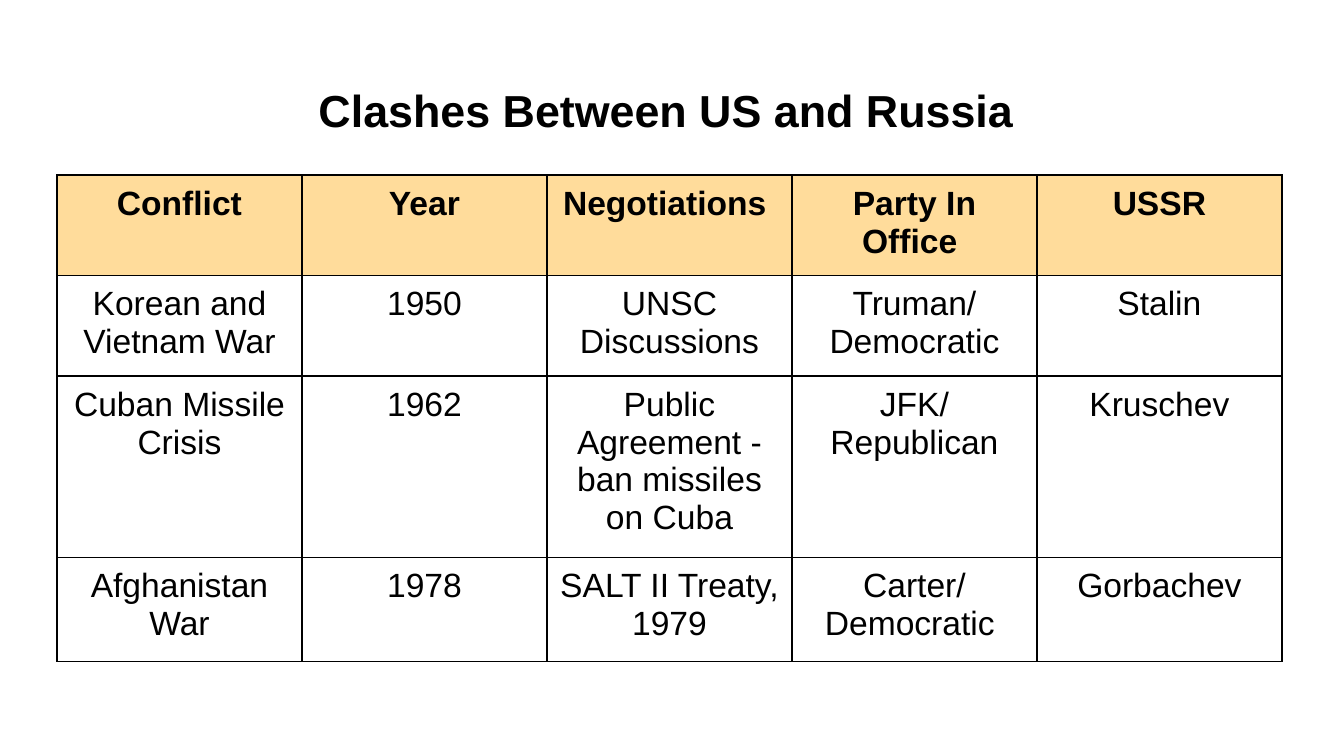
import lxml.etree
import pptx
import pptx.dml.color
import pptx.enum.text
import pptx.oxml.ns
import pptx.util

COLORS = {"text": "000000", "border": "000000", "header": "FFDC9B"}
PX = 914400 / 134.4
COLUMN_WIDTH = 245
ROW_HEIGHTS = [94, 94, 169, 104]
ROWS = [
    ["Conflict", "Year", "Negotiations ", "Party In Office ", "USSR"],
    ["Korean and Vietnam War", "1950", "UNSC Discussions", "Truman/ Democratic", "Stalin"],
    ["Cuban Missile Crisis", "1962", "Public Agreement - ban missiles on Cuba",
     "JFK/Republican", "Kruschev"],
    ["Afghanistan War", "1978", "SALT II Treaty, 1979", "Carter/ Democratic ", "Gorbachev"],
]


def px(n):
    return pptx.util.Emu(round(n * PX))


class SlideBuilder:
    """Holds the text style and the slide being built."""

    def __init__(self, prs, font="Arial"):
        self.slide = prs.slides.add_slide(prs.slide_layouts[6])
        self.font = font

    def set_text(self, tf, text, size, bold):
        tf.text = text
        p = tf.paragraphs[0]
        p.alignment = pptx.enum.text.PP_ALIGN.CENTER
        for r in p.runs:
            r.font.name = self.font
            r.font.size = pptx.util.Pt(size)
            r.font.bold = bold
            r.font.color.rgb = pptx.dml.color.RGBColor.from_string(COLORS["text"])
        return p

    def title(self, text, left, top, width, height):
        sp = self.slide.shapes.add_textbox(px(left), px(top), px(width), px(height))
        tf = sp.text_frame
        tf.word_wrap = True
        tf.vertical_anchor = pptx.enum.text.MSO_ANCHOR.MIDDLE
        tf.margin_left = tf.margin_right = px(10)
        tf.margin_top = tf.margin_bottom = px(5)
        self.set_text(tf, text, 24, True).line_spacing = 0.9

    def borders(self, cell):
        tc_pr = cell._tc.get_or_add_tcPr()
        qn = pptx.oxml.ns.qn
        for side in ("L", "R", "T", "B"):
            ln = lxml.etree.SubElement(tc_pr, qn(f"a:ln{side}"), w=str(pptx.util.Pt(1)))
            fill = lxml.etree.SubElement(ln, qn("a:solidFill"))
            lxml.etree.SubElement(fill, qn("a:srgbClr"), val=COLORS["border"])

    def table(self, rows, left, top, column_width, row_heights):
        frame = self.slide.shapes.add_table(
            len(rows), len(rows[0]), px(left), px(top),
            px(column_width * len(rows[0])), px(sum(row_heights)))
        table = frame.table
        table.first_row = table.horz_banding = False
        for column in table.columns:
            column.width = px(column_width)
        for i, (texts, height) in enumerate(zip(rows, row_heights)):
            table.rows[i].height = px(height)
            for j, text in enumerate(texts):
                self.cell(table.cell(i, j), text, header=i == 0)

    def cell(self, cell, text, header):
        cell.margin_left = cell.margin_right = px(10)
        cell.margin_top = cell.margin_bottom = px(10)
        self.set_text(cell.text_frame, text, 18, header)
        self.borders(cell)
        if header:
            cell.fill.solid()
            cell.fill.fore_color.rgb = pptx.dml.color.RGBColor.from_string(COLORS["header"])
        else:
            cell.fill.background()


def main():
    prs = pptx.Presentation()
    prs.slide_width, prs.slide_height = px(1344), px(756)
    s = SlideBuilder(prs)
    s.title("Clashes Between US and Russia ", 93, 40, 1158, 146)
    s.table(ROWS, 57, 175, COLUMN_WIDTH, ROW_HEIGHTS)
    prs.save("out.pptx")


if __name__ == "__main__":
    main()
